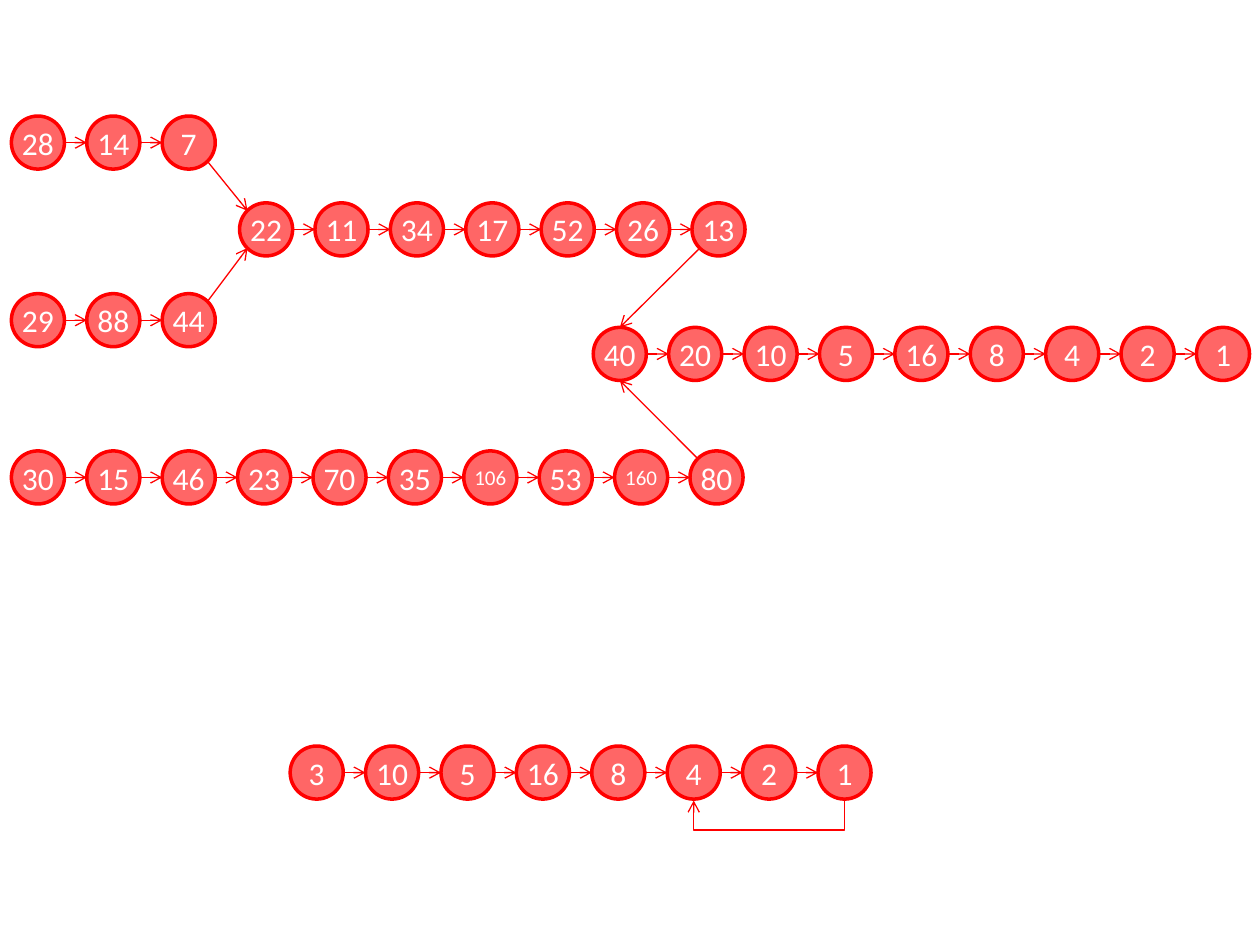
from lxml import etree
from pptx import Presentation
from pptx.dml.color import RGBColor
from pptx.enum.shapes import MSO_CONNECTOR as Link, MSO_SHAPE as Shape
from pptx.enum.text import MSO_ANCHOR as Anchor, PP_ALIGN as Align
from pptx.oxml.ns import qn
from pptx.util import Cm, Pt

COLORS = {"fill": "FF6666", "line": "FF0000", "text": "FFFFFF"}
DIAMETER = 1.07
PITCH = 1.52

# Points on a circle's outline, as fractions of its diameter
TOP, BOTTOM = (0.5, 0), (0.5, 1)
LEFT, RIGHT = (0, 0.5), (1, 0.5)
TOP_LEFT, TOP_RIGHT = (0.15, 0.15), (0.85, 0.15)
BOTTOM_LEFT, BOTTOM_RIGHT = (0.15, 0.85), (0.85, 0.85)


def color(name):
    return RGBColor.from_string(COLORS[name])


def add_number(slide, value, left, top):
    circle = slide.shapes.add_shape(
        Shape.OVAL, Cm(left), Cm(top), Cm(DIAMETER), Cm(DIAMETER))
    circle.shadow.inherit = False
    circle.fill.solid()
    circle.fill.fore_color.rgb = color("fill")
    circle.line.color.rgb = color("line")
    circle.line.width = Pt(2)
    frame = circle.text_frame
    frame.margin_left = frame.margin_right = 0
    frame.margin_top = frame.margin_bottom = 0
    frame.vertical_anchor = Anchor.MIDDLE
    number = frame.paragraphs[0]
    number.text = str(value)
    number.alignment = Align.CENTER
    number.font.name = "Calibri"
    number.font.size = Pt(12 if value > 99 else 18)
    number.font.color.rgb = color("text")
    return circle


def style_arrow(arrow):
    arrow.line.color.rgb = color("line")
    arrow.line.width = Pt(0.75)
    etree.SubElement(arrow.line._get_or_add_ln(), qn("a:tailEnd"), type="arrow")
    etree.SubElement(arrow._element.spPr, qn("a:effectLst"))


def outline_point(circle, site):
    x, y = site
    return circle.left + int(circle.width * x), circle.top + int(circle.height * y)


def add_arrow(slide, source, source_site, target, target_site):
    arrow = slide.shapes.add_connector(
        Link.STRAIGHT, *outline_point(source, source_site),
        *outline_point(target, target_site))
    style_arrow(arrow)


def add_chain(slide, values, left, top):
    """Place the numbers in a row, each pointing to the next."""
    circles = [add_number(slide, value, left + i * PITCH, top)
               for i, value in enumerate(values)]
    for source, target in zip(circles, circles[1:]):
        add_arrow(slide, source, RIGHT, target, LEFT)
    return circles


def add_loop(slide, source, target, drop=Cm(0.62)):
    """Lead back from the bottom of source to the bottom of target."""
    start_x, bottom = outline_point(source, BOTTOM)
    end_x, _ = outline_point(target, BOTTOM)
    depth, span = Cm(0.03), start_x - end_x
    # The box is upright before its quarter turn about the centre
    left = (start_x + end_x - depth) // 2
    top = bottom + (depth - span) // 2
    loop = slide.shapes.add_connector(
        Link.ELBOW, left, top, left + depth, top + span)
    properties = loop._element.spPr
    properties.find(qn("a:xfrm")).set("rot", str(90 * 60000))
    guides = properties.find(qn("a:prstGeom")).get_or_add_avLst()
    etree.SubElement(guides, qn("a:gd"), name="adj1",
                     fmla=f"val {drop * 100000 // depth}")
    style_arrow(loop)


def add_tree(slide, left, top):
    """Draw the chains that merge on their way to 1."""
    from_28 = add_chain(slide, [28, 14, 7], left, top)
    from_29 = add_chain(slide, [29, 88, 44], left, top + 3.58)
    from_30 = add_chain(
        slide, [30, 15, 46, 23, 70, 35, 106, 53, 160, 80], left, top + 6.75)
    from_22 = add_chain(
        slide, [22, 11, 34, 17, 52, 26, 13], left + 4.6, top + 1.75)
    from_40 = add_chain(
        slide, [40, 20, 10, 5, 16, 8, 4, 2, 1], left + 11.73, top + 4.26)
    add_arrow(slide, from_28[-1], BOTTOM_RIGHT, from_22[0], TOP_LEFT)
    add_arrow(slide, from_29[-1], TOP_RIGHT, from_22[0], BOTTOM_LEFT)
    add_arrow(slide, from_22[-1], BOTTOM_LEFT, from_40[0], TOP)
    add_arrow(slide, from_30[-1], TOP_LEFT, from_40[0], BOTTOM)


def add_cycle(slide, left, top):
    """Draw the chain that ends in the loop 4, 2, 1."""
    circles = add_chain(slide, [3, 10, 5, 16, 8, 4, 2, 1], left, top)
    add_loop(slide, circles[-1], circles[-3])


def main():
    deck = Presentation()
    deck.slide_width, deck.slide_height = Cm(25.4), Cm(19.05)
    slide = deck.slides.add_slide(deck.slide_layouts[6])
    add_tree(slide, 0.23, 2.34)
    add_cycle(slide, 5.85, 15.04)
    deck.save("out.pptx")


if __name__ == "__main__":
    main()
